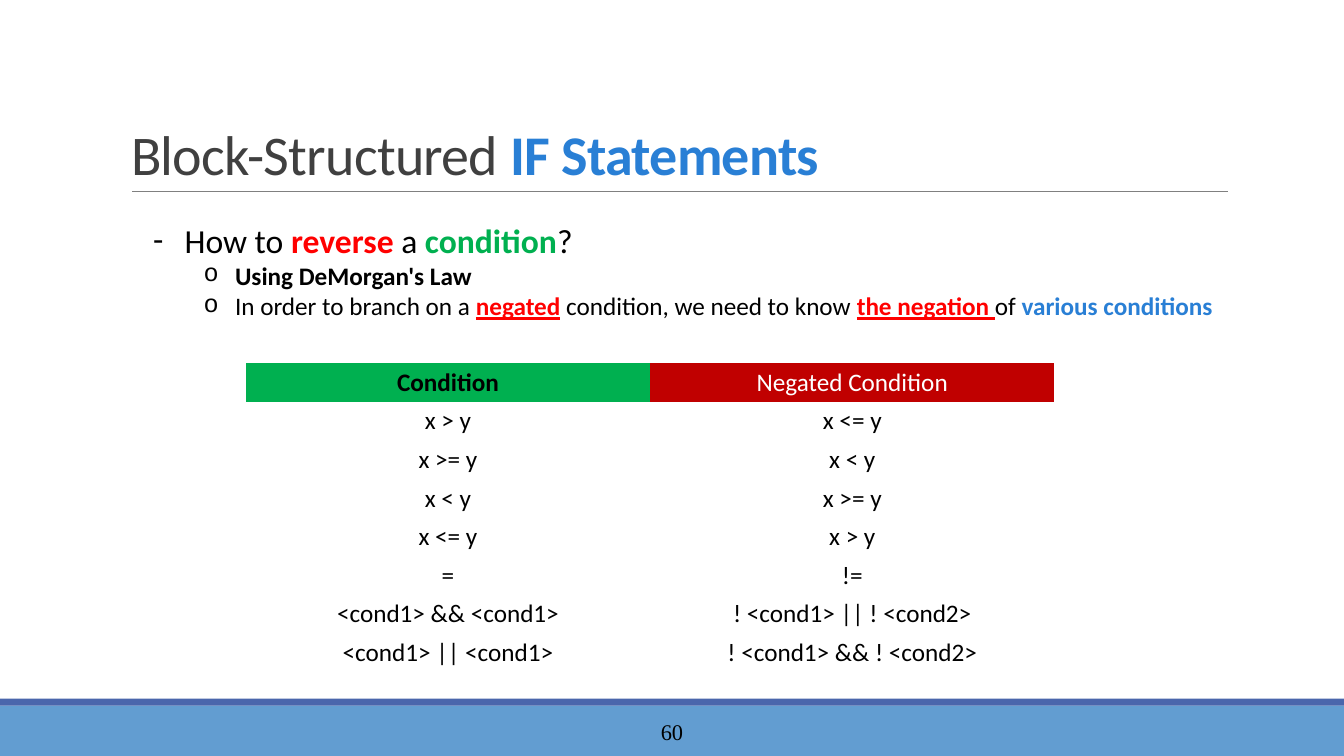
from lxml.etree import SubElement
from pptx import Presentation
from pptx.dml.color import RGBColor
from pptx.enum.shapes import MSO_CONNECTOR, MSO_SHAPE
from pptx.enum.text import MSO_ANCHOR, MSO_AUTO_SIZE, PP_ALIGN
from pptx.oxml.ns import qn
from pptx.util import Pt

COLORS = {
    "black": "000000", "white": "FFFFFF", "title": "404040", "blue": "297FD5",
    "red": "FF0000", "green": "00B050", "dark_red": "C00000", "rule": "808080",
    "band": "629DD1", "stripe": "4A66AC",
}
NO_GRID_STYLE = "{2D5ABB26-0587-4C30-8999-92F81FD0307C}"
BULLETS = [
    ("-", 22.5, 24, [("How to ", {}), ("reverse", {"color": "red", "bold": True}),
                     (" a ", {}), ("condition", {"color": "green", "bold": True}),
                     ("?", {})]),
    ("o", 58.5, 18, [("Using DeMorgan's Law", {"bold": True})]),
    ("o", 58.5, 18, [("In order to branch on a ", {}),
                     ("negated", {"color": "red", "bold": True, "underline": True}),
                     (" condition, we need to know ", {}),
                     ("the negation ", {"color": "red", "bold": True, "underline": True}),
                     ("of ", {}),
                     ("various conditions", {"color": "blue", "bold": True})]),
]
CONDITIONS = [
    ("Condition", "Negated Condition"),
    ("x > y", "x <= y"),
    ("x >= y", "x < y"),
    ("x < y", "x >= y"),
    ("x <= y", "x > y"),
    ("=", "!="),
    ("<cond1> && <cond1>", "! <cond1> || ! <cond2>"),
    ("<cond1> || <cond1>", "! <cond1> && ! <cond2>"),
]


def rgb(name):
    """Return the named colour."""
    return RGBColor.from_string(COLORS[name])


def add_run(p, text, size=18, color="black", bold=False, underline=False,
            font="Calibri", spacing=None):
    """Add a formatted run to a paragraph."""
    r = p.add_run()
    r.text = text
    r.font.size, r.font.name = Pt(size), font
    r.font.bold, r.font.underline = bold, underline
    r.font.color.rgb = rgb(color)
    if spacing is not None:
        r.font._element.set("spc", str(int(spacing * 100)))


def place(sp, x, y, w, h):
    """Move a shape to a box given in points."""
    sp.left, sp.top, sp.width, sp.height = Pt(x), Pt(y), Pt(w), Pt(h)


def set_bullet(p, char, indent):
    """Give a paragraph a hanging bullet."""
    pPr = p._p.get_or_add_pPr()
    pPr.set("marL", str(Pt(indent)))
    pPr.set("indent", str(Pt(-22.5)))
    SubElement(pPr, qn("a:buFont"), typeface="Calibri" if char == "-" else "Courier New")
    SubElement(pPr, qn("a:buChar"), char=char)


def add_title(s, x, y, w, h):
    """Fill the title and draw the rule below it."""
    sp = s.shapes.title
    place(sp, x, y, w, h)
    tf = sp.text_frame
    tf.auto_size, tf.vertical_anchor = MSO_AUTO_SIZE.NONE, MSO_ANCHOR.BOTTOM
    p = tf.paragraphs[0]
    p.alignment, p.line_spacing = PP_ALIGN.LEFT, 0.85
    add_run(p, "Block-Structured ", size=40, color="title", spacing=-0.5)
    add_run(p, "IF Statements", size=40, color="blue", bold=True, spacing=-0.5)
    rule = s.shapes.add_connector(MSO_CONNECTOR.STRAIGHT, Pt(x + 8), Pt(y + h),
                                  Pt(x + w - 1), Pt(y + h))
    rule.line.color.rgb, rule.line.width = rgb("rule"), Pt(0.5)
    SubElement(rule._element.spPr, qn("a:effectLst"))


def add_body(s, x, y, w, h):
    """Fill the body with the bulleted explanation."""
    sp = s.placeholders[1]
    place(sp, x, y, w, h)
    tf = sp.text_frame
    tf.auto_size, tf.vertical_anchor = MSO_AUTO_SIZE.NONE, MSO_ANCHOR.TOP
    for i, (char, indent, size, runs) in enumerate(BULLETS):
        p = tf.add_paragraph() if i else tf.paragraphs[0]
        p.level = 1 if i else 0
        p.space_before = Pt(0)
        set_bullet(p, char, indent)
        for text, fmt in runs:
            add_run(p, text, size=size, **fmt)


def add_conditions(s, x, y, w, h):
    """Add the table of conditions and their negations."""
    frame = s.shapes.add_table(len(CONDITIONS), 2, Pt(x), Pt(y), Pt(w), Pt(h))
    table = frame.table
    table.first_row = table.horz_banding = False
    for style in frame._element.iter(qn("a:tableStyleId")):
        style.text = NO_GRID_STYLE
    for i, row in enumerate(CONDITIONS):
        for j, text in enumerate(row):
            cell = table.cell(i, j)
            cell.margin_left = cell.margin_right = Pt(3)
            cell.margin_top = cell.margin_bottom = Pt(3)
            cell.vertical_anchor = MSO_ANCHOR.MIDDLE
            cell.fill.solid()
            cell.fill.fore_color.rgb = rgb("white" if i else ("green", "dark_red")[j])
            p = cell.text_frame.paragraphs[0]
            p.alignment = PP_ALIGN.CENTER
            header = i == 0
            add_run(p, text, bold=header and j == 0,
                    color="white" if header and j == 1 else "black")


def add_footer(s, x, y, w, h):
    """Draw the footer bands and the slide number."""
    stripe = 5
    for color, top, height in (("band", y + stripe, h - stripe), ("stripe", y, stripe)):
        sp = s.shapes.add_shape(MSO_SHAPE.RECTANGLE, Pt(x), Pt(top), Pt(w), Pt(height))
        sp.shadow.inherit = False
        sp.fill.solid()
        sp.fill.fore_color.rgb = rgb(color)
        sp.line.fill.background()
    number = s.shapes.add_textbox(Pt(x + 290), Pt(y + 9.5), Pt(w - 580), Pt(28.5))
    tf = number.text_frame
    tf.word_wrap, tf.vertical_anchor = True, MSO_ANCHOR.MIDDLE
    p = tf.paragraphs[0]
    p.alignment = PP_ALIGN.CENTER
    add_run(p, "60", size=16, font="Times New Roman")


def main():
    """Build and save the slide."""
    prs = Presentation()
    prs.slide_width, prs.slide_height = Pt(960), Pt(540)
    s = prs.slides.add_slide(prs.slide_layouts[1])
    add_footer(s, 0, 499, 960, 41)
    add_title(s, 86.4, 22.3, 792, 114.5)
    add_body(s, 102.2, 153.4, 803.5, 124)
    add_conditions(s, 175.6, 259.2, 577.6, 221)
    prs.save("out.pptx")


if __name__ == "__main__":
    main()
